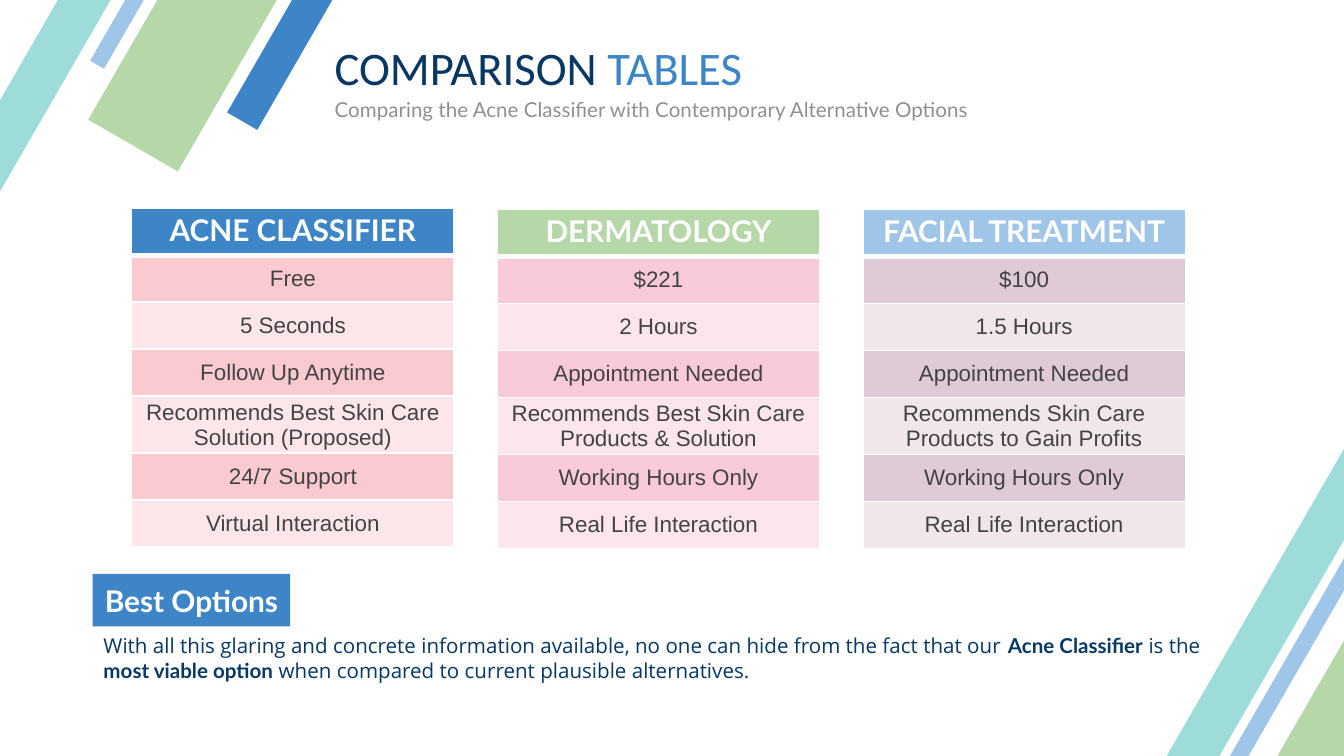
from lxml import etree
from pptx import Presentation
from pptx.dml.color import RGBColor
from pptx.enum.shapes import MSO_SHAPE
from pptx.enum.text import MSO_ANCHOR, MSO_AUTO_SIZE, PP_ALIGN
from pptx.oxml.ns import qn
from pptx.util import Inches, Pt

RECT = MSO_SHAPE.RECTANGLE
TOP, MIDDLE = MSO_ANCHOR.TOP, MSO_ANCHOR.MIDDLE
LEFT, CENTER = PP_ALIGN.LEFT, PP_ALIGN.CENTER

NAVY = RGBColor(0x07, 0x37, 0x63)
BLUE = RGBColor(0x3D, 0x85, 0xC6)
GREEN = RGBColor(0xB6, 0xD7, 0xA8)
SKY = RGBColor(0x9F, 0xC5, 0xE8)
TEAL = RGBColor(0x9E, 0xDC, 0xD9)
GRAY = RGBColor(0x90, 0x90, 0x90)
DARK = RGBColor(0x43, 0x43, 0x43)
WHITE = RGBColor(0xFF, 0xFF, 0xFF)
ROSE, ROSE_PALE = RGBColor(0xF9, 0xCA, 0xD0), RGBColor(0xFC, 0xE6, 0xE9)
PINK, PINK_PALE = RGBColor(0xF9, 0xCA, 0xD8), RGBColor(0xFC, 0xE6, 0xEC)
MAUVE, MAUVE_PALE = RGBColor(0xDF, 0xCA, 0xD7), RGBColor(0xF0, 0xE6, 0xEC)


def set_text(shape, runs, size, anchor=TOP):
    """Fill a shape with one left-aligned paragraph of (text, font, colour, bold)."""
    frame = shape.text_frame
    frame.word_wrap = True
    frame.auto_size = MSO_AUTO_SIZE.NONE
    frame.vertical_anchor = anchor
    frame.margin_left = frame.margin_right = Inches(0.09)
    frame.margin_top = frame.margin_bottom = Inches(0.04)
    para = frame.paragraphs[0]
    para.alignment = LEFT
    para.font.size = Pt(size)
    for text, face, color, bold in runs:
        run = para.add_run()
        run.text = text
        run.font.name = face
        run.font.color.rgb = color
        run.font.bold = bold
    return para


def add_edges(cell, bottom):
    """Draw white borders, with the bottom one of the given width in points."""
    props = cell._tc.get_or_add_tcPr()
    for side, width in (("L", 1), ("R", 1), ("T", 1), ("B", bottom)):
        line = etree.SubElement(props, qn(f"a:ln{side}"), w=str(Pt(width)))
        fill = etree.SubElement(line, qn("a:solidFill"))
        etree.SubElement(fill, qn("a:srgbClr"), val=str(WHITE))


# A 16:9 slide
prs = Presentation()
prs.slide_width = Inches(10)
prs.slide_height = Inches(10 * 9 / 16)
slide = prs.slides.add_slide(prs.slide_layouts[5])
shapes = slide.shapes

# Slanted corner stripes
stripes = [
    (-0.71, -3.58, 10.05, 0.26, BLUE), (-1.52, -3.65, 10.04, 0.77, GREEN),
    (-1.79, -3.93, 10.05, 0.12, SKY), (-2.91, -2.73, 10.03, 0.34, TEAL),
    (6.84, 1.93, 10.04, 0.77, GREEN), (6.45, 1.66, 10.05, 0.12, SKY),
    (5.36, 2.86, 10.03, 0.34, TEAL),
]
for x, y, width, height, color in stripes:
    stripe = shapes.add_shape(RECT, Inches(x), Inches(y), Inches(width), Inches(height))
    stripe.rotation = 300
    stripe.shadow.inherit = False
    stripe.fill.solid()
    stripe.fill.fore_color.rgb = color
    stripe.line.fill.background()

# Title and subtitle
title = shapes.title
title.left, title.top = Inches(2.4), Inches(0.23)
title.width, title.height = Inches(7.48), Inches(0.54)
set_text(title, [("COMPARISON ", "Calibri", NAVY, False),
                 ("TABLES", "Calibri", BLUE, False)], 25, MIDDLE)
sub = shapes.add_textbox(Inches(2.4), Inches(0.67), Inches(7.48), Inches(0.29))
para = set_text(sub, [("Comparing the Acne Classifier with Contemporary Alternative Options",
                       "Lato", GRAY, False)], 11)
para.line_spacing = 1.07

# Comparison tables: left, top, header colour, row colours, rows
tables = [
    (0.98, 1.55, BLUE, (ROSE, ROSE_PALE),
     ["ACNE CLASSIFIER", "Free", "5 Seconds", "Follow Up Anytime",
      "Recommends Best Skin Care Solution (Proposed)", "24/7 Support",
      "Virtual Interaction"]),
    (3.7, 1.56, GREEN, (PINK, PINK_PALE),
     ["DERMATOLOGY", "$221", "2 Hours", "Appointment Needed",
      "Recommends Best Skin Care Products & Solution", "Working Hours Only",
      "Real Life Interaction"]),
    (6.42, 1.56, SKY, (MAUVE, MAUVE_PALE),
     ["FACIAL TREATMENT", "$100", "1.5 Hours", "Appointment Needed",
      "Recommends Skin Care Products to Gain Profits", "Working Hours Only",
      "Real Life Interaction"]),
]
for x, y, head, bands, rows in tables:
    table = shapes.add_table(len(rows), 1, Inches(x), Inches(y), Inches(2.4),
                             Inches(0.35 * len(rows))).table
    for i, text in enumerate(rows):
        first = i == 0
        cell = table.cell(i, 0)
        add_edges(cell, 3 if first else 1)
        cell.fill.solid()
        cell.fill.fore_color.rgb = head if first else bands[(i - 1) % 2]
        cell.margin_left = cell.margin_right = Inches(0.05)
        cell.margin_top = cell.margin_bottom = Pt(1.8)
        cell.vertical_anchor = TOP if first else MIDDLE
        cell.text = text
        para = cell.text_frame.paragraphs[0]
        para.alignment = CENTER
        para.font.name = "Lato" if first else "Arial"
        para.font.size = Pt(16 if first else 12)
        para.font.bold = first
        para.font.color.rgb = WHITE if first else DARK

# Verdict label and text
label = shapes.add_shape(RECT, Inches(0.69), Inches(4.27), Inches(1.47), Inches(0.39))
label.shadow.inherit = False
label.fill.solid()
label.fill.fore_color.rgb = BLUE
label.line.fill.background()
set_text(label, [("Best Options", "Lato", WHITE, True)], 16, MIDDLE)
label.text_frame.margin_right = Inches(0.05)

note = shapes.add_textbox(Inches(0.68), Inches(4.67), Inches(8.35), Inches(0.79))
para = set_text(note, [
    ("With all this glaring and concrete information available, no one can hide "
     "from the fact that our ", "Open Sans", NAVY, False),
    ("Acne Classifier", "Lato", NAVY, True),
    (" is the ", "Open Sans", NAVY, False),
    ("most viable option", "Lato", NAVY, True),
    (" when compared to current plausible alternatives.", "Open Sans", NAVY, False),
], 11)
para.space_after = Pt(16)

prs.save("out.pptx")
